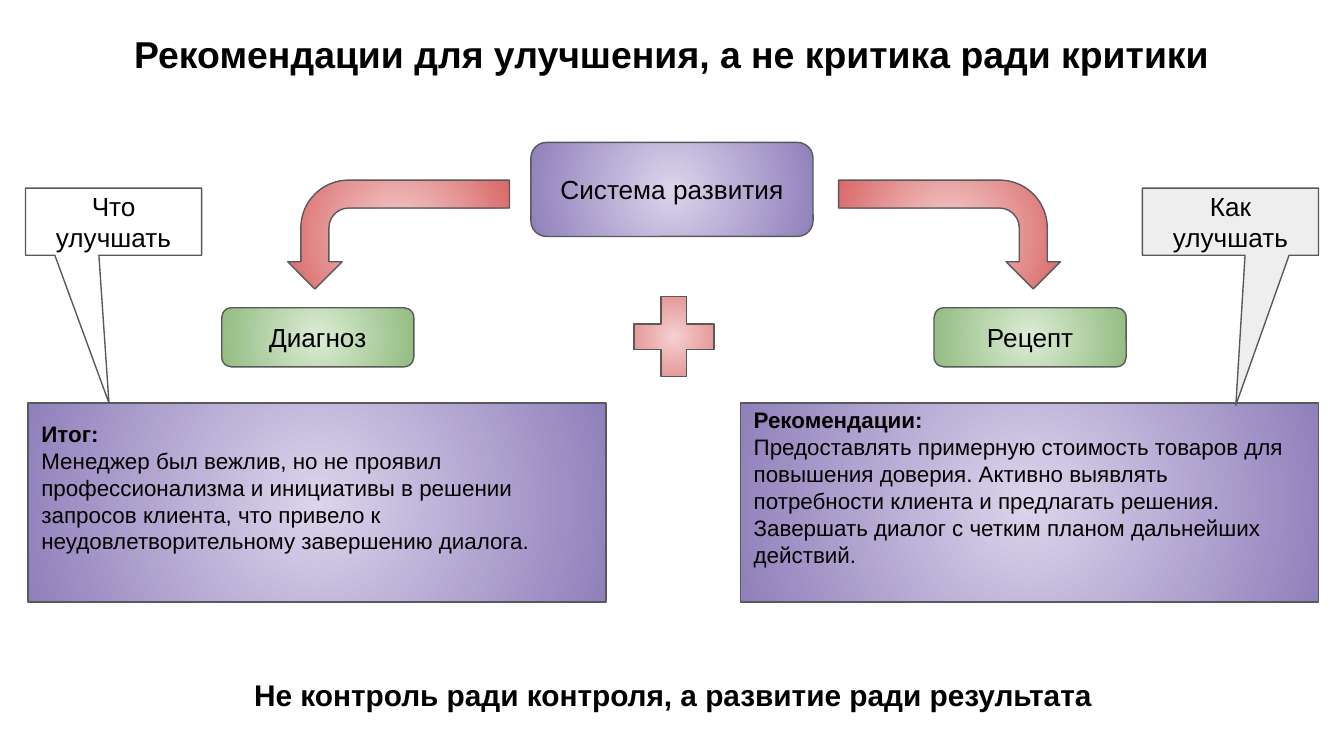
from lxml.etree import SubElement
from pptx import Presentation
from pptx.dml.color import RGBColor
from pptx.enum.shapes import MSO_SHAPE
from pptx.enum.text import MSO_ANCHOR, PP_ALIGN
from pptx.oxml.ns import qn
from pptx.util import Inches, Pt

# Grid of square cells: 100 columns by 56.25 rows (16:9)
CELL = 0.1
COLUMNS, ROWS = 100, 56.25

COLORS = {
    "text": "000000",
    "outline": "595959",
    "white": "FFFFFF",
    "gray": "EEEEEE",
}
# Radial gradients, centre to edge
GRADIENTS = {
    "green": ("DCECD5", "92BC81"),
    "red": ("F5D0D0", "D96868"),
    "purple": ("DBD4EB", "9080BB"),
}

# The two halves of the scheme; the right one is the recipe
HALVES = [
    {
        "label": "Диагноз", "label_column": 16.5,
        "arrow_column": 25.6, "rotation": 270, "mirrored": True,
        "callout": "Что улучшать", "callout_column": 1.9,
        "callout_fill": "white", "pointer": (-0.026, 2.697, 0),
        "panel_column": 2.1, "heading": "Итог:",
        "body": "Менеджер был вежлив, но не проявил профессионализма и "
                "инициативы в решении запросов клиента, что привело к "
                "неудовлетворительному завершению диалога.",
    },
    {
        "label": "Рецепт", "label_column": 69.5,
        "arrow_column": 66.6, "rotation": 90, "mirrored": False,
        "callout": "Как улучшать", "callout_column": 85,
        "callout_fill": "gray", "pointer": (0.031, 2.73, 0),
        "panel_column": 55.1, "heading": "Рекомендации:",
        "body": "Предоставлять примерную стоимость товаров для повышения "
                "доверия. Активно выявлять потребности клиента и предлагать "
                "решения. Завершать диалог с четким планом дальнейших "
                "действий.",
    },
]


def cells(*values):
    return [Inches(value * CELL) for value in values]


def write_text(shape, lines, align=PP_ALIGN.CENTER, top=1, bottom=1):
    """Write lines given as (text, size, bold), one paragraph each."""
    frame = shape.text_frame
    left, right, top, bottom = cells(1, 1, top, bottom)
    frame_format = {
        "word_wrap": True, "vertical_anchor": MSO_ANCHOR.MIDDLE,
        "margin_left": left, "margin_right": right,
        "margin_top": top, "margin_bottom": bottom,
    }
    for name, value in frame_format.items():
        setattr(frame, name, value)
    for index, (text, size, bold) in enumerate(lines):
        paragraph = frame.add_paragraph() if index else frame.paragraphs[0]
        paragraph.alignment = align
        run = paragraph.add_run()
        run.text = text
        font_format = {"name": "Arial", "size": Pt(size), "bold": bold}
        for name, value in font_format.items():
            setattr(run.font, name, value)
        run.font.color.rgb = RGBColor.from_string(COLORS["text"])


def fill_radial(shape, gradient):
    shape.fill.gradient()
    for stop, color in zip(shape.fill.gradient_stops, GRADIENTS[gradient]):
        stop.color.rgb = RGBColor.from_string(color)
    # Replace the linear direction with a circle around the centre
    element = shape._element.spPr.find(qn("a:gradFill"))
    element.remove(element.find(qn("a:lin")))
    circle = SubElement(element, qn("a:path"), {"path": "circle"})
    SubElement(circle, qn("a:fillToRect"), dict.fromkeys("ltrb", "50000"))


def add_figure(slide, kind, place, fill, adjustments=()):
    shape = slide.shapes.add_shape(kind, *cells(*place))
    shape.shadow.inherit = False
    for index, value in enumerate(adjustments):
        shape.adjustments[index] = value
    if fill in GRADIENTS:
        fill_radial(shape, fill)
    else:
        shape.fill.solid()
        shape.fill.fore_color.rgb = RGBColor.from_string(COLORS[fill])
    shape.line.color.rgb = RGBColor.from_string(COLORS["outline"])
    shape.line.width = Pt(0.75)
    return shape


def add_label(slide, text, place, fill):
    shape = add_figure(slide, MSO_SHAPE.ROUNDED_RECTANGLE, place, fill)
    write_text(shape, [(text, 14, False)])


def add_headline(slide, text, place, size):
    box = slide.shapes.add_textbox(*cells(*place))
    write_text(box, [(text, size, True)])


def add_arrow(slide, half):
    arrow = add_figure(slide, MSO_SHAPE.BENT_ARROW,
                       (half["arrow_column"], 9.2, 8.1, 16.5), "red",
                       (0.257, 0.25, 0.25, 0.438))
    arrow.rotation = half["rotation"]
    if half["mirrored"]:
        arrow._element.spPr.find(qn("a:xfrm")).set("flipH", "1")


def add_panel(slide, half):
    panel = add_figure(slide, MSO_SHAPE.RECTANGLE,
                       (half["panel_column"], 30, 43, 14.8), "purple")
    lines = [(half["heading"], 12, True), (half["body"], 12, False)]
    write_text(panel, lines, PP_ALIGN.LEFT, top=0.3, bottom=2.6)


def add_callout(slide, half):
    callout = add_figure(slide, MSO_SHAPE.ROUNDED_RECTANGULAR_CALLOUT,
                         (half["callout_column"], 14, 13.1, 5),
                         half["callout_fill"], half["pointer"])
    write_text(callout, [(half["callout"], 14, False)])


def main():
    presentation = Presentation()
    presentation.slide_width, presentation.slide_height = cells(COLUMNS, ROWS)
    slide = presentation.slides.add_slide(presentation.slide_layouts[6])

    # Title
    add_headline(slide, "Рекомендации для улучшения, а не критика ради критики",
                 (7.5, 1.8, 85, 4.4), 20)

    # Centre: the system and the plus sign
    add_label(slide, "Система развития", (39.5, 10.6, 21, 7), "purple")
    add_figure(slide, MSO_SHAPE.MATH_PLUS, (46.1, 21, 8.1, 8.1), "red", (0.235,))

    # Diagnosis on the left, recipe on the right
    for half in HALVES:
        add_label(slide, half["label"], (half["label_column"], 22.9, 14.3, 4.4),
                  "green")
        add_arrow(slide, half)
        add_panel(slide, half)
        add_callout(slide, half)

    # Conclusion
    add_headline(slide, "Не контроль ради контроля, а развитие ради результата",
                 (12.7, 49.2, 74.8, 5), 16)

    presentation.save("out.pptx")


if __name__ == "__main__":
    main()
